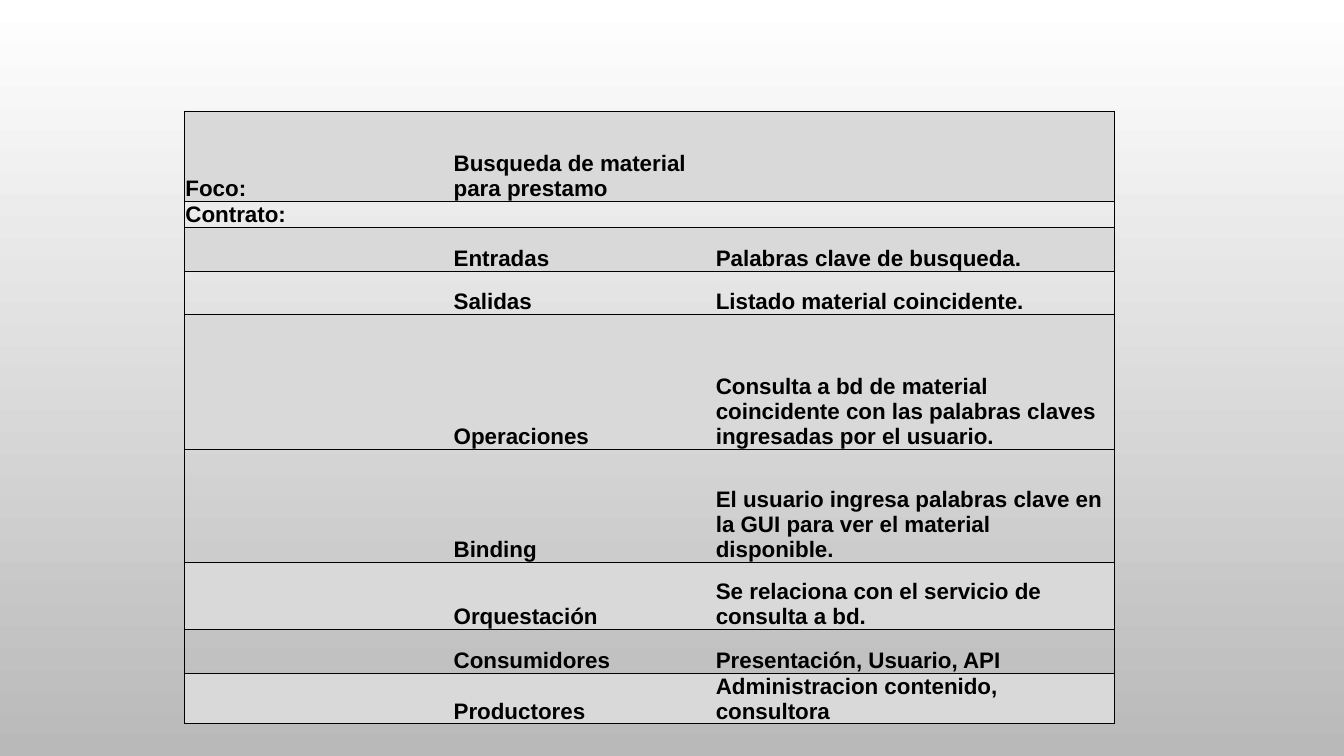
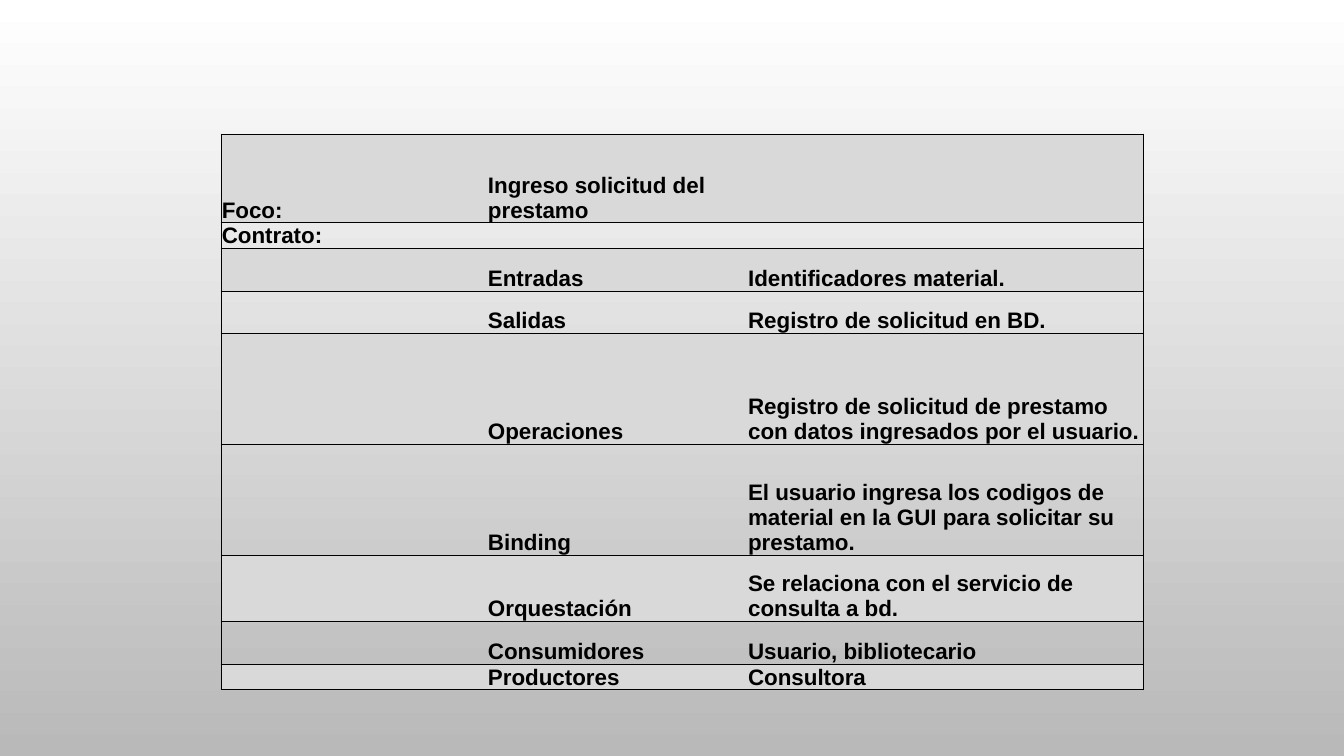
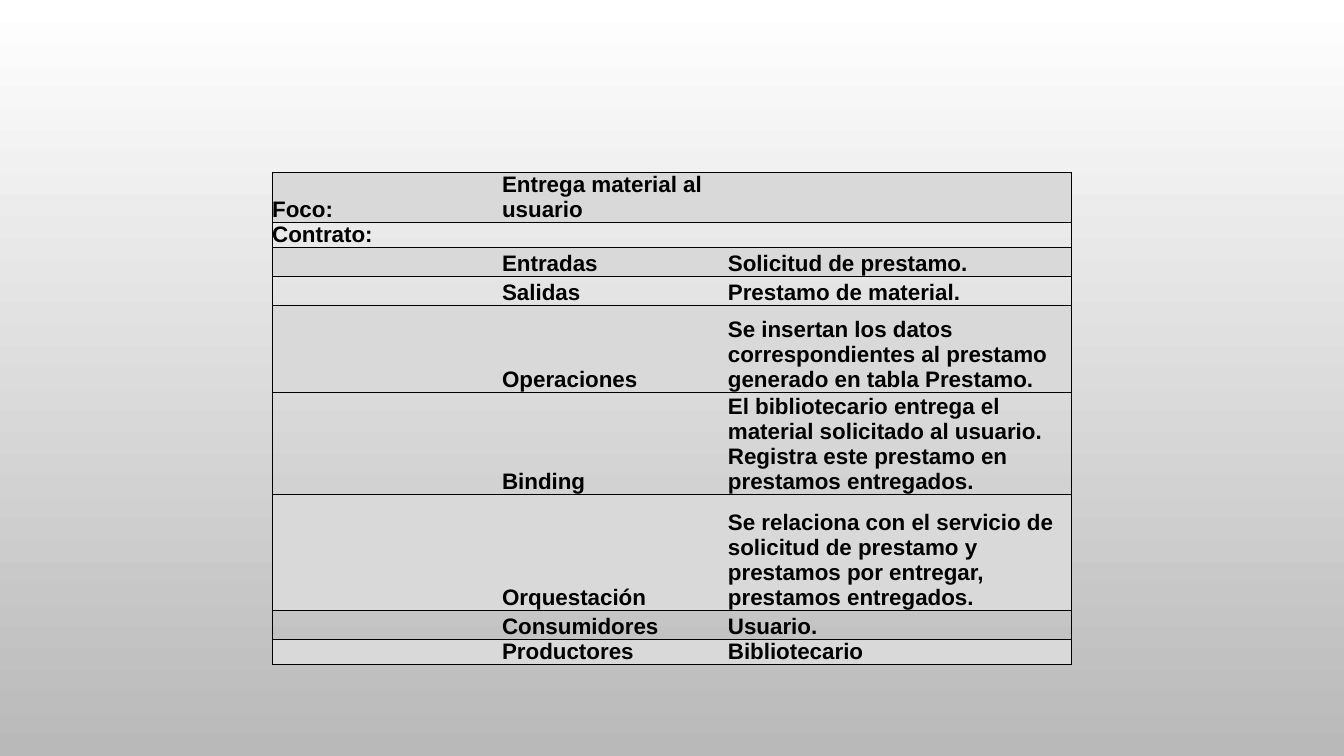
import pptx
import pptx.dml.color
import pptx.enum.text
import pptx.oxml
import pptx.oxml.ns
import pptx.util

Inches = pptx.util.Inches
COLORS = {
    "background_top": "FFFFFF",
    "background_bottom": "B9B9B9",
    "band": "D9D9D9",
    "text": "000000",
    "border": "000000",
}
FONT_NAME = "Arial"
FONT_SIZE = pptx.util.Pt(16)
BORDER_WIDTH = pptx.util.Pt(0.5)
FIELDS = ["Entradas", "Salidas", "Operaciones", "Binding",
          "Orquestación", "Consumidores", "Productores"]

SERVICES = [
    {
        "focus": "Busqueda de material para prestamo",
        "position": (1.83, 1.1),
        "columns": [2.66, 2.6, 3.96],
        "rows": [0.9, 0.22, 0.43, 0.43, 1.34, 1.12, 0.67, 0.43, 0.22],
        "inset": 0.01,
        "values": [
            "Palabras clave de busqueda.",
            "Listado material coincidente.",
            "Consulta a bd de material coincidente con las palabras claves ingresadas por el usuario.",
            "El usuario ingresa palabras clave en la GUI para ver el material disponible.",
            "Se relaciona con el servicio de consulta a bd.",
            "Presentación, Usuario, API",
            "Administracion contenido, consultora",
        ],
    },
    {
        "focus": "Ingreso solicitud del prestamo",
        "position": (2.19, 1.33),
        "columns": [2.64, 2.58, 3.93],
        "rows": [0.88, 0.22, 0.42, 0.42, 1.1, 1.1, 0.66, 0.42, 0.22],
        "inset": 0.01,
        "values": [
            "Identificadores material.",
            "Registro de solicitud en BD.",
            "Registro de solicitud de prestamo con datos ingresados por el usuario.",
            "El usuario ingresa los codigos de material en la GUI para solicitar su prestamo.",
            "Se relaciona con el servicio de consulta a bd.",
            "Usuario, bibliotecario",
            "Consultora",
        ],
    },
    {
        "focus": "Entrega material al usuario",
        "position": (2.7, 1.71),
        "columns": [2.28, 2.24, 3.41],
        "rows": [0.43, 0.15, 0.29, 0.29, 0.86, 1.01, 1.15, 0.29, 0.15],
        "inset": 0,
        "values": [
            "Solicitud de prestamo.",
            "Prestamo de material.",
            "Se insertan los datos correspondientes al prestamo generado en tabla Prestamo.",
            "El bibliotecario entrega el material solicitado al usuario. "
            "Registra este prestamo en prestamos entregados.",
            "Se relaciona con el servicio de solicitud de prestamo y prestamos por entregar, "
            "prestamos entregados.",
            "Usuario.",
            "Bibliotecario",
        ],
    },
]


def set_borders(cell, visible_sides):
    properties = cell._tc.get_or_add_tcPr()
    for index, side in enumerate("LRTB"):
        paint = "<a:noFill/>"
        if side in visible_sides:
            paint = f'<a:solidFill><a:srgbClr val="{COLORS["border"]}"/></a:solidFill>'
        properties.insert(index, pptx.oxml.parse_xml(
            f'<a:ln{side} {pptx.oxml.ns.nsdecls("a")} w="{BORDER_WIDTH}">{paint}</a:ln{side}>'))


def format_cell(cell, text, inset, banded):
    cell.text = text
    cell.vertical_anchor = pptx.enum.text.MSO_ANCHOR.BOTTOM
    cell.margin_left = cell.margin_right = cell.margin_top = Inches(inset)
    cell.margin_bottom = 0
    font = cell.text_frame.paragraphs[0].font
    font.name = FONT_NAME
    font.size = FONT_SIZE
    font.bold = True
    font.color.rgb = pptx.dml.color.RGBColor.from_string(COLORS["text"])
    if banded:
        cell.fill.solid()
        cell.fill.fore_color.rgb = pptx.dml.color.RGBColor.from_string(COLORS["band"])
    else:
        cell.fill.background()


presentation = pptx.Presentation()
presentation.slide_width = Inches(13.33)
presentation.slide_height = Inches(7.5)

background = presentation.slide_master.background.fill
background.gradient()
background.gradient_angle = 270
for stop, position, name in zip(background.gradient_stops, (0, 1),
                                ("background_top", "background_bottom")):
    stop.position = position
    stop.color.rgb = pptx.dml.color.RGBColor.from_string(COLORS[name])

blank_layout = presentation.slide_layouts[6]
for service in SERVICES:
    slide = presentation.slides.add_slide(blank_layout)
    content = [("Foco:", service["focus"], ""), ("Contrato:", "", "")]
    content += [("", field, value) for field, value in zip(FIELDS, service["values"])]
    left, top = service["position"]
    table = slide.shapes.add_table(
        len(content), len(service["columns"]), Inches(left), Inches(top),
        Inches(sum(service["columns"])), Inches(sum(service["rows"]))).table
    table.first_row = False
    table.horz_banding = False
    for column, width in zip(table.columns, service["columns"]):
        column.width = Inches(width)
    for row_index, (row, height) in enumerate(zip(table.rows, service["rows"])):
        row.height = Inches(height)
        for cell, text, sides in zip(row.cells, content[row_index], ("LTB", "TB", "RTB")):
            format_cell(cell, text, service["inset"], row_index % 2 == 0)
            set_borders(cell, sides)

presentation.save("out.pptx")
